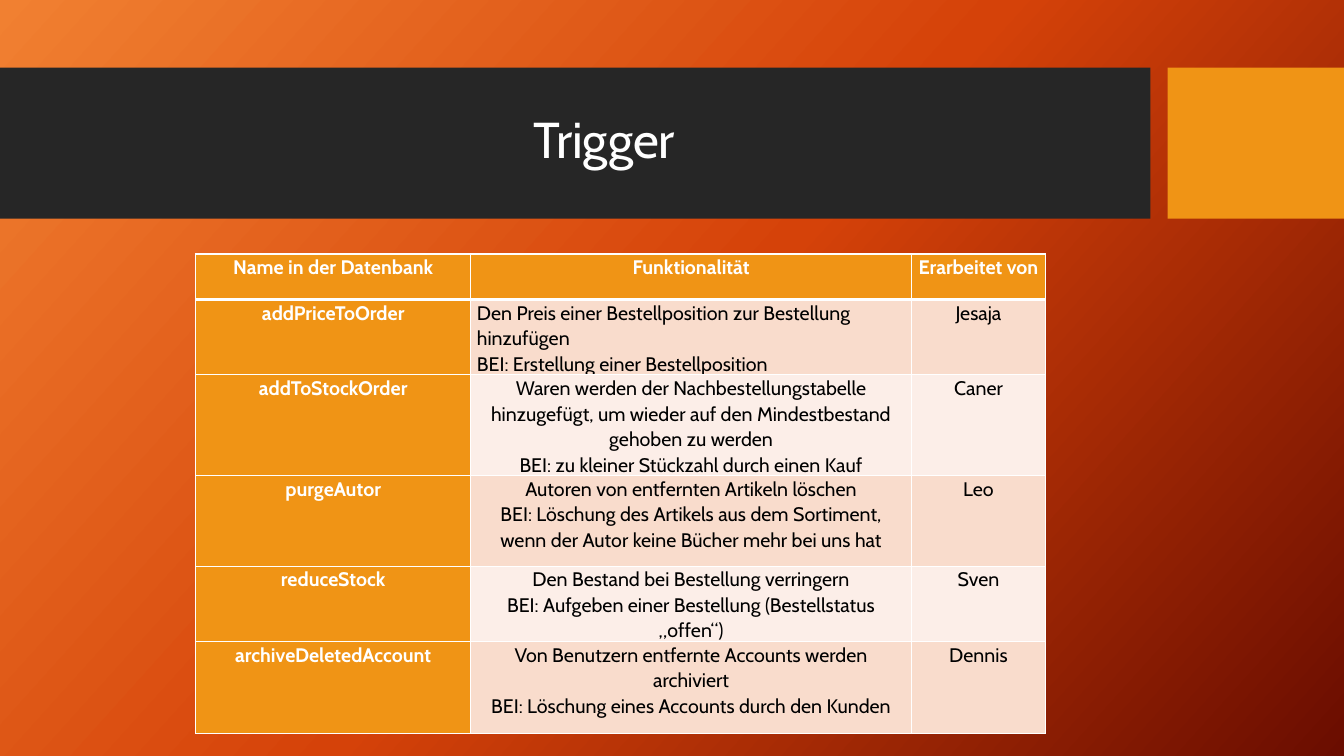
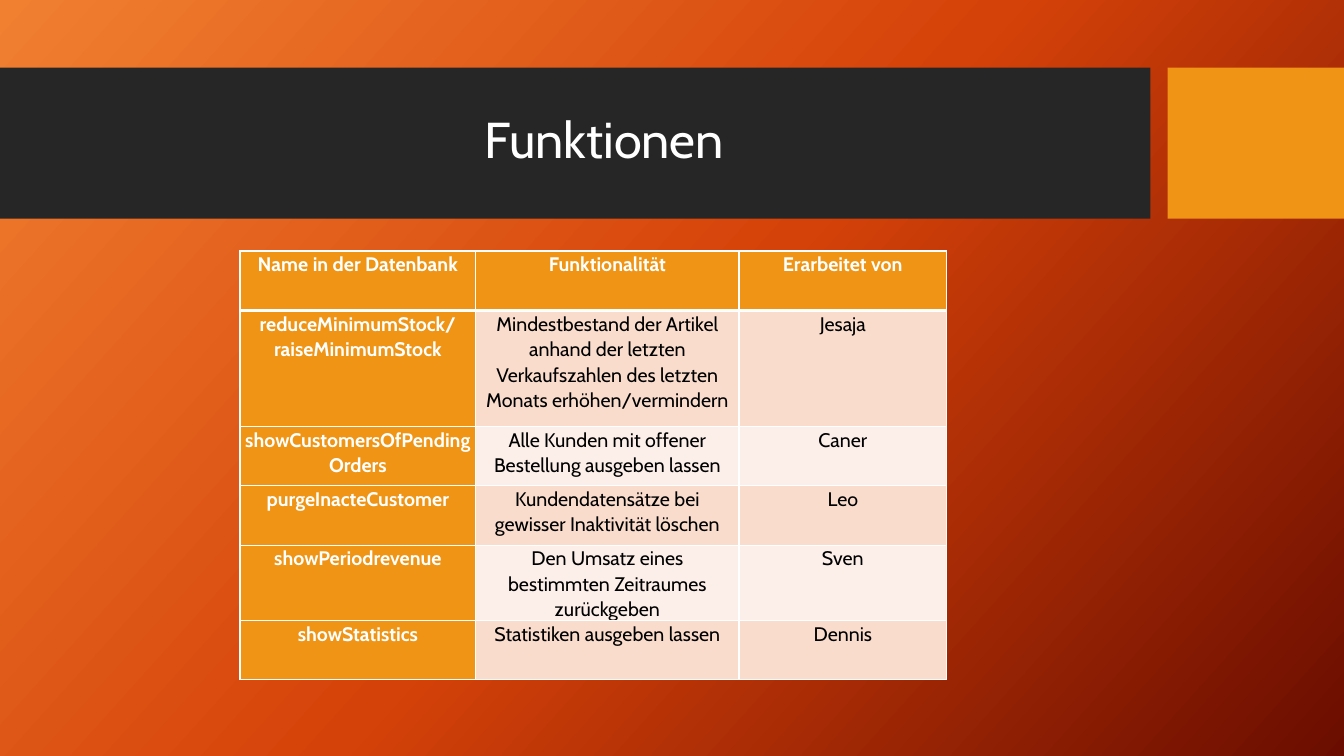
import copy

import pptx
import pptx.dml.color
import pptx.enum.shapes
import pptx.enum.text
import pptx.oxml
import pptx.oxml.ns
import pptx.util
from pptx.util import Inches

FONT = "Cabin"
COLORS = {
    "white": "FFFFFF",
    "black": "000000",
    "dark": "262626",
    "amber": "F09415",
    "odd": "F9DCCC",
    "even": "FCEEE8",
}
GRADIENT = [(0, "F18031"), (0.5, "D54209"), (1, "6A0D00")]
ALIGN = pptx.enum.text.PP_ALIGN
HEADER = ("Name in der Datenbank", "Funktionalität", "Erarbeitet von")

TRIGGERS = [
    HEADER,
    ("addPriceToOrder",
     "Den Preis einer Bestellposition zur Bestellung hinzufügen\n"
     "BEI: Erstellung einer Bestellposition", "Jesaja"),
    ("addToStockOrder",
     "Waren werden der Nachbestellungstabelle hinzugefügt, um wieder auf den "
     "Mindestbestand gehoben zu werden\n"
     "BEI: zu kleiner Stückzahl durch einen Kauf", "Caner"),
    ("purgeAutor",
     "Autoren von entfernten Artikeln löschen\n"
     "BEI: Löschung des Artikels aus dem Sortiment, wenn der Autor keine "
     "Bücher mehr bei uns hat", "Leo"),
    ("reduceStock",
     "Den Bestand bei Bestellung verringern\n"
     "BEI: Aufgeben einer Bestellung (Bestellstatus „offen“)", "Sven"),
    ("archiveDeletedAccount",
     "Von Benutzern entfernte Accounts werden archiviert\n"
     "BEI: Löschung eines Accounts durch den Kunden", "Dennis"),
]
ROUTINES = [
    HEADER,
    ("reduceMinimumStock/\nraiseMinimumStock",
     "Mindestbestand der Artikel anhand der letzten Verkaufszahlen des "
     "letzten Monats erhöhen/vermindern", "Jesaja"),
    ("showCustomersOfPendingOrders",
     "Alle Kunden mit offener Bestellung ausgeben lassen", "Caner"),
    ("purgeInacteCustomer",
     "Kundendatensätze bei gewisser Inaktivität löschen", "Leo"),
    ("showPeriodrevenue",
     "Den Umsatz eines bestimmten Zeitraumes zurückgeben", "Sven"),
    ("showStatistics", "Statistiken ausgeben lassen", "Dennis"),
]


def rgb(value):
    return pptx.dml.color.RGBColor.from_string(value)


def write(frame, text, size, color, bold=False, align=ALIGN.CENTER, spacing=1.07):
    para = frame.paragraphs[0]
    para.alignment = align
    para.line_spacing = spacing
    for index, line in enumerate(text.split("\n")):
        if index:
            para.add_line_break()
            para._p[-1].append(copy.deepcopy(run.font._element))
        run = para.add_run()
        run.text = line
        run.font.name = FONT
        run.font.size = pptx.util.Pt(size)
        run.font.bold = bold
        run.font.color.rgb = rgb(COLORS[color])


def paint(slide):
    fill = slide.background.fill
    fill.gradient()
    fill.gradient_angle = 360 - 42
    stops = slide.element.find(".//" + pptx.oxml.ns.qn("a:gsLst"))
    stops.append(copy.deepcopy(stops[-1]))
    for stop, (place, color) in zip(fill.gradient_stops, GRADIENT):
        stop.position = place
        stop.color.rgb = rgb(color)


def add_band(slide, left, width, color):
    band = slide.shapes.add_shape(
        pptx.enum.shapes.MSO_SHAPE.RECTANGLE,
        Inches(left), Inches(0.67), Inches(width), Inches(1.5))
    band.shadow.inherit = False
    band.fill.solid()
    band.fill.fore_color.rgb = rgb(COLORS[color])
    band.line.fill.background()


def add_title(slide, text):
    box = slide.shapes.add_textbox(
        Inches(0.74), Inches(0.82), Inches(10.51), Inches(1.18))
    frame = box.text_frame
    frame.word_wrap = True
    frame.vertical_anchor = pptx.enum.text.MSO_ANCHOR.MIDDLE
    write(frame, text, 36, "white", spacing=0.9)


def add_edge(cell, side, points):
    edge = pptx.oxml.parse_xml(
        f'<a:ln{side} {pptx.oxml.ns.nsdecls("a")} w="{pptx.util.Pt(points)}">'
        f'<a:solidFill><a:srgbClr val="{COLORS["white"]}"/></a:solidFill>'
        f'</a:ln{side}>')
    cell._tc.get_or_add_tcPr().append(edge)


def style(cell, row, col, inset):
    cell.margin_left = cell.margin_right = Inches(inset)
    cell.margin_top = cell.margin_bottom = 0
    thick = {(0, "B"), (1, "T")}
    for side in "LRTB":
        add_edge(cell, side, 3 if (row, side) in thick else 1)
    label = row == 0 or col == 0
    color = "amber" if label else "odd" if row % 2 else "even"
    cell.fill.solid()
    cell.fill.fore_color.rgb = rgb(COLORS[color])
    return label


def add_grid(slide, data, left, top, widths, heights, inset, flush=()):
    table = slide.shapes.add_table(
        len(data), len(widths), Inches(left), Inches(top),
        Inches(sum(widths)), Inches(sum(heights))).table
    for column, width in zip(table.columns, widths):
        column.width = Inches(width)
    for line, height in zip(table.rows, heights):
        line.height = Inches(height)
    for row, texts in enumerate(data):
        for col, text in enumerate(texts):
            cell = table.cell(row, col)
            label = style(cell, row, col, inset)
            write(cell.text_frame, text, 14, "white" if label else "black", label,
                  ALIGN.LEFT if (row, col) in flush else ALIGN.CENTER)


def add_page(deck, title):
    slide = deck.slides.add_slide(deck.slide_layouts[6])
    paint(slide)
    add_band(slide, 0, 11.41, "dark")
    add_band(slide, 11.58, 1.75, "amber")
    add_title(slide, title)
    return slide


def main():
    deck = pptx.Presentation()
    deck.slide_width = Inches(13.33)
    deck.slide_height = Inches(7.5)
    add_grid(add_page(deck, "Trigger"), TRIGGERS, 1.94, 2.52,
             [2.73, 4.37, 1.33], [0.45, 0.73, 0.76, 0.9, 0.68, 0.91],
             0.06, flush={(1, 1)})
    add_grid(add_page(deck, "Funktionen"), ROUTINES, 2.38, 2.49,
             [2.34, 2.61, 2.06], [0.59, 1.15, 0.59, 0.59, 0.59, 0.58], 0.04)
    deck.save("out.pptx")


if __name__ == "__main__":
    main()
